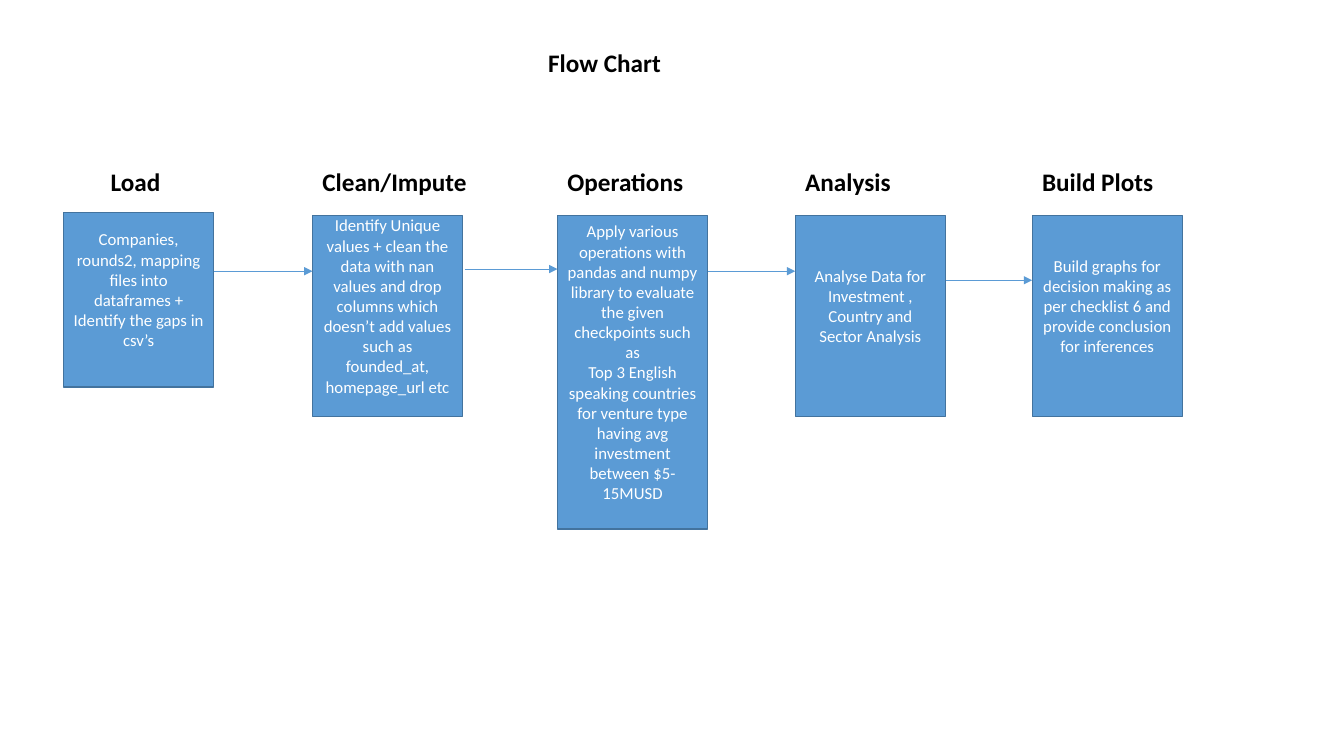
import pptx
import pptx.util
import pptx.dml.color
import pptx.enum.shapes
import pptx.enum.text
import pptx.oxml
import pptx.oxml.ns
import lxml.etree

Pt = pptx.util.Pt
BOX_W = 107.3
HEADING_TOP = 115.2
HEADING_H = 28.8
BLUE = "5B9BD5"

STEPS = [
    ("Load", 45.4, 151.9, 124.6, 26.6, 99.4,
     ["Companies, rounds2, mapping files into dataframes + Identify the gaps in csv’s"]),
    ("Clean/Impute", 223.2, 154.1, 143.3, 0, 128.9,
     ["Identify Unique values + clean the data with nan values and drop columns "
      "which doesn’t add values such as founded_at, homepage_url etc"]),
    ("Operations", 398.2, 154.1, 223.9, 0, 128.9,
     ["Apply various operations with pandas and numpy library to evaluate the given "
      "checkpoints such as",
      "Top 3 English speaking countries for venture type having avg investment "
      "between $5-15MUSD"]),
    ("Analysis", 568.1, 154.1, 143.3, 0, 128.9,
     ["Analyse Data for Investment , Country and Sector Analysis"]),
    ("Build Plots", 737.3, 154.1, 143.3, 0, 128.9,
     ["Build graphs for decision making as per checklist 6 and provide conclusion "
      "for inferences"]),
]
ARROWS = [(193.7, 0), (192.2, 1.4), (193.7, 0), (200.2, 0)]


def rgb(value):
    return pptx.dml.color.RGBColor.from_string(value)


def format_text(tf, size, color, bold=False, align=None):
    for p in tf.paragraphs:
        p.alignment = align
        for r in p.runs:
            r.font.name = "Calibri"
            r.font.size = Pt(size)
            r.font.bold = bold
            r.font.color.rgb = rgb(color)


def add_heading(s, text, x, y, w, h, wrap=True):
    tf = s.shapes.add_textbox(Pt(x), Pt(y), Pt(w), Pt(h)).text_frame
    tf.text = text
    tf.word_wrap = wrap
    tf.auto_size = pptx.enum.text.MSO_AUTO_SIZE.SHAPE_TO_FIT_TEXT
    format_text(tf, 18, "000000", bold=True)


def add_box(s, paragraphs, x, y, w, h):
    sp = s.shapes.add_shape(pptx.enum.shapes.MSO_SHAPE.RECTANGLE, Pt(x), Pt(y), Pt(w), Pt(h))
    sp.shadow.inherit = False
    sp.fill.solid()
    sp.fill.fore_color.rgb = rgb(BLUE)
    sp.line.color.rgb = rgb("43739E")
    sp.line.width = Pt(1)
    tf = sp.text_frame
    tf.text = "\n".join(paragraphs)
    tf.word_wrap = True
    tf.vertical_anchor = pptx.enum.text.MSO_ANCHOR.MIDDLE
    tf.margin_bottom = Pt(18.2)
    format_text(tf, 12, "FFFFFF", align=pptx.enum.text.PP_ALIGN.CENTER)


def add_step(s, step):
    title, x, y, h, indent, title_w, paragraphs = step
    add_heading(s, title, x + indent, HEADING_TOP, title_w, HEADING_H)
    add_box(s, paragraphs, x, y, BOX_W, h)


def add_arrow(s, x1, x2, y):
    c = s.shapes.add_connector(pptx.enum.shapes.MSO_CONNECTOR.STRAIGHT, Pt(x1), Pt(y), Pt(x2), Pt(y))
    c.line.color.rgb = rgb(BLUE)
    c.line.width = Pt(0.5)
    ln = c.line._get_or_add_ln()
    lxml.etree.SubElement(ln, pptx.oxml.ns.qn("a:tailEnd"), type="triangle")
    lxml.etree.SubElement(c._element.spPr, pptx.oxml.ns.qn("a:effectLst"))


def add_flow_chart(prs):
    s = prs.slides.add_slide(prs.slide_layouts[6])
    add_heading(s, "Flow Chart", 384.5, 30.2, 95.8, HEADING_H, wrap=False)
    for step in STEPS:
        add_step(s, step)
    for left, right, (y, gap) in zip(STEPS, STEPS[1:], ARROWS):
        add_arrow(s, left[1] + BOX_W + gap, right[1], y)


def main():
    prs = pptx.Presentation()
    prs.slide_width = Pt(960)
    prs.slide_height = Pt(540)
    add_flow_chart(prs)
    prs.save("out.pptx")


if __name__ == "__main__":
    main()
